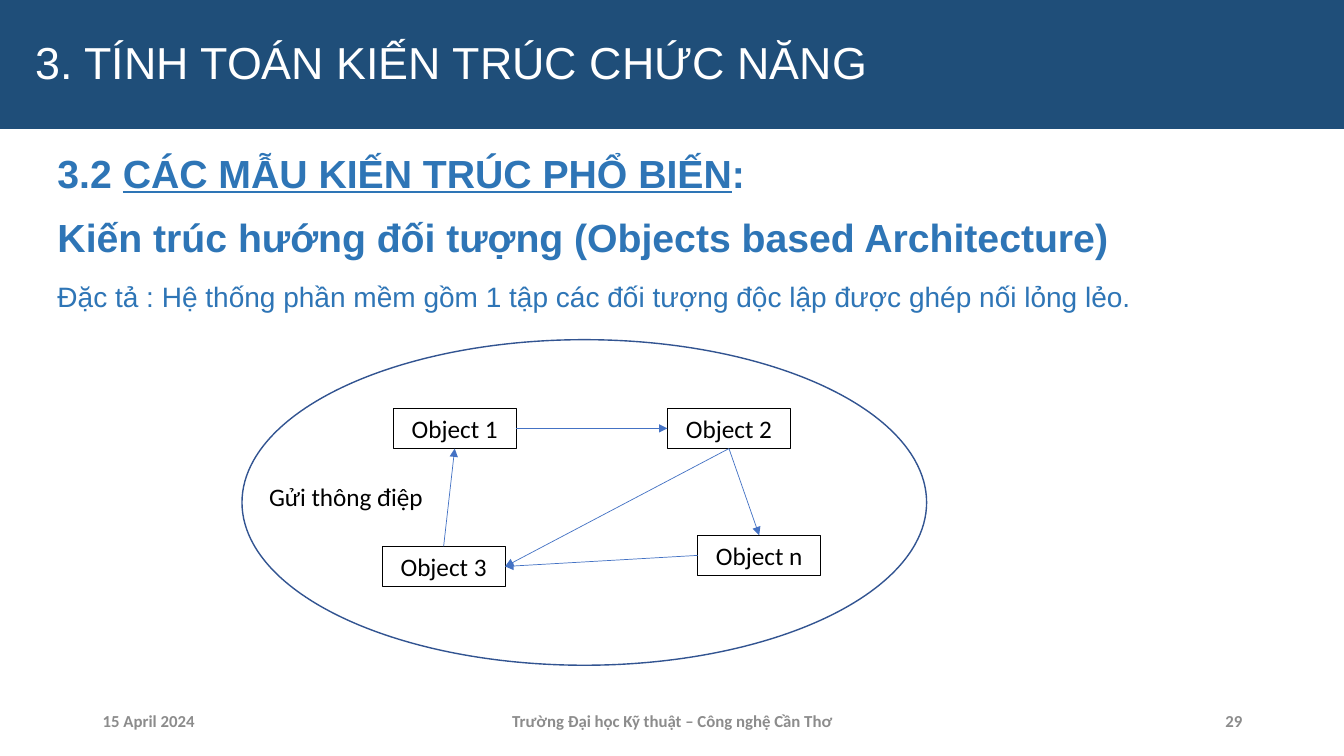
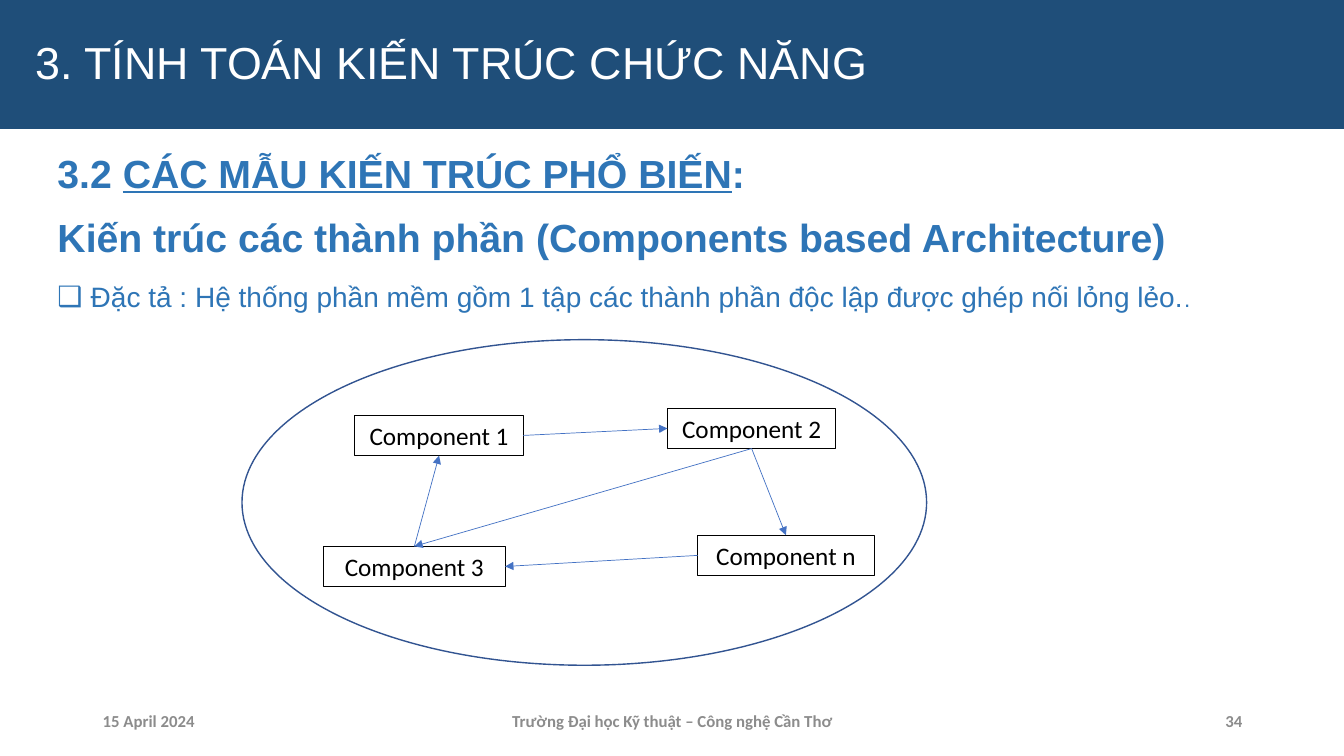
from dataclasses import dataclass

from lxml import etree
from pptx import Presentation
from pptx.dml.color import RGBColor
from pptx.enum import shapes, text
from pptx.oxml import ns
from pptx.util import Inches, Pt

WHITE = RGBColor(0xFF, 0xFF, 0xFF)
BLACK = RGBColor(0, 0, 0)
BAND_BLUE = RGBColor(0x1F, 0x4E, 0x79)
BODY_BLUE = RGBColor(0x2E, 0x75, 0xB6)
OUTLINE_BLUE = RGBColor(0x32, 0x54, 0x91)
ARROW_BLUE = RGBColor(0x44, 0x72, 0xC4)
FOOTER_GREY = RGBColor(0x8C, 0x8C, 0x8C)

HEADING_FONT = "Arial"
DIAGRAM_FONT = "Calibri"
CHAPTER = "3. TÍNH TOÁN KIẾN TRÚC CHỨC NĂNG"
SECTION = (("3.2 ", False), ("CÁC MẪU KIẾN TRÚC PHỔ BIẾN", True), (":", False))
DATE = "15 April 2024"
SCHOOL = "Trường Đại học Kỹ thuật – Công nghệ Cần Thơ"
NODE_HEIGHT = 0.4
TOP, LEFT, BOTTOM, RIGHT = range(4)


@dataclass(frozen=True)
class Node:
    label: str
    left: float
    top: float
    width: float


@dataclass(frozen=True)
class Link:
    source: str
    source_side: int
    target: str
    target_side: int


@dataclass(frozen=True)
class Architecture:
    number: int
    heading: str
    description: str
    noun: str
    nodes: tuple[Node, ...]
    shortcut_side: int
    bullet: str = ""
    small_ending: str = ""
    message: str = ""


ARCHITECTURES = (
    Architecture(
        29,
        "Kiến trúc hướng đối tượng (Objects based Architecture)",
        "Đặc tả : Hệ thống phần mềm gồm 1 tập các đối tượng độc lập được ghép nối lỏng lẻo.",
        "Object",
        (
            Node("1", 3.9, 4.05, 1.22),
            Node("2", 6.62, 4.05, 1.22),
            Node("n", 6.92, 5.31, 1.22),
            Node("3", 3.79, 5.42, 1.22),
        ),
        RIGHT,
        message="Gửi thông điệp",
    ),
    Architecture(
        34,
        "Kiến trúc các thành phần (Components based Architecture)",
        "Đặc tả : Hệ thống phần mềm gồm 1 tập các thành phần độc lập được ghép nối lỏng lẻo.",
        "Component",
        (
            Node("1", 3.52, 4.12, 1.67),
            Node("2", 6.62, 4.05, 1.67),
            Node("n", 6.92, 5.31, 1.75),
            Node("3", 3.21, 5.42, 1.8),
        ),
        TOP,
        bullet="❑",
        small_ending=".",
    ),
)


def place(shape, left: float, top: float, width: float, height: float) -> None:
    shape.left, shape.top = Inches(left), Inches(top)
    shape.width, shape.height = Inches(width), Inches(height)


def set_font(paragraph, name: str, size: float, color: RGBColor, bold: bool = False) -> None:
    font = paragraph.font
    font.name, font.size, font.bold = name, Pt(size), bold
    font.color.rgb = color


def set_indent(paragraph, margin: float, bullet: str = "") -> None:
    properties = paragraph._p.get_or_add_pPr()
    properties.set("marL", str(Inches(margin)))
    properties.set("indent", str(-Inches(margin) if bullet else 0))
    if bullet:
        etree.SubElement(properties, ns.qn("a:buChar")).set("char", bullet)
    else:
        etree.SubElement(properties, ns.qn("a:buNone"))


def add_title(slide) -> None:
    title = slide.shapes.title
    place(title, 0, 0, 13.33, 1.28)
    title.fill.solid()
    title.fill.fore_color.rgb = BAND_BLUE
    frame = title.text_frame
    frame.text = CHAPTER
    frame.auto_size = text.MSO_AUTO_SIZE.NONE
    frame.vertical_anchor = text.MSO_ANCHOR.MIDDLE
    chapter = frame.paragraphs[0]
    set_indent(chapter, 0.25)
    chapter.alignment = text.PP_ALIGN.LEFT
    chapter.line_spacing = 0.9
    set_font(chapter, HEADING_FONT, 32, WHITE)


def add_body(slide, architecture: Architecture) -> None:
    body = slide.placeholders[1]
    place(body, 0.47, 1.48, 12.43, 5.37)
    frame = body.text_frame
    frame.auto_size = text.MSO_AUTO_SIZE.NONE
    section, heading, description = frame.paragraphs[0], frame.add_paragraph(), frame.add_paragraph()
    for words, underlined in SECTION:
        run = section.add_run()
        run.text = words
        run.font.underline = underlined
    heading.text = architecture.heading
    description.text = architecture.description
    if architecture.small_ending:
        ending = description.add_run()
        ending.text = architecture.small_ending
        ending.font.size = Pt(16)

    set_indent(section, 0)
    set_indent(heading, 0)
    set_indent(description, 0.33 if architecture.bullet else 0, architecture.bullet)
    for paragraph, size, bold in ((section, 28, True), (heading, 28, True), (description, 20, False)):
        paragraph.line_spacing = 0.9
        paragraph.space_before, paragraph.space_after = Pt(10), Pt(6)
        set_font(paragraph, HEADING_FONT, size, BODY_BLUE, bold)


def add_footer(slide, number: int) -> None:
    for words, left, width, alignment in (
        (DATE, 0.92, 3, text.PP_ALIGN.LEFT),
        (SCHOOL, 4.42, 4.5, text.PP_ALIGN.CENTER),
        (str(number), 9.42, 3, text.PP_ALIGN.RIGHT),
    ):
        box = slide.shapes.add_textbox(Inches(left), Inches(6.95), Inches(width), Inches(0.4))
        frame = box.text_frame
        frame.text = words
        frame.word_wrap = True
        frame.vertical_anchor = text.MSO_ANCHOR.MIDDLE
        frame.paragraphs[0].alignment = alignment
        set_font(frame.paragraphs[0], DIAGRAM_FONT, 12, FOOTER_GREY, True)


def add_boundary(slide) -> None:
    boundary = slide.shapes.add_shape(
        shapes.MSO_SHAPE.OVAL, Inches(2.4), Inches(3.37), Inches(6.79), Inches(3.23)
    )
    boundary.shadow.inherit = False
    boundary.fill.solid()
    boundary.fill.fore_color.rgb = WHITE
    boundary.line.color.rgb = OUTLINE_BLUE
    boundary.line.width = Pt(1)


def add_node(slide, node: Node, noun: str):
    box = slide.shapes.add_shape(
        shapes.MSO_SHAPE.RECTANGLE,
        Inches(node.left), Inches(node.top), Inches(node.width), Inches(NODE_HEIGHT),
    )
    box.shadow.inherit = False
    box.fill.background()
    box.line.color.rgb = BLACK
    box.line.width = Pt(0.75)
    frame = box.text_frame
    frame.text = f"{noun} {node.label}"
    frame.vertical_anchor = text.MSO_ANCHOR.TOP
    frame.auto_size = text.MSO_AUTO_SIZE.SHAPE_TO_FIT_TEXT
    frame.paragraphs[0].alignment = text.PP_ALIGN.CENTER
    set_font(frame.paragraphs[0], DIAGRAM_FONT, 18, BLACK)
    return box


def add_arrow(slide, link: Link, boxes: dict) -> None:
    arrow = slide.shapes.add_connector(shapes.MSO_CONNECTOR.STRAIGHT, 0, 0, 0, 0)
    arrow.begin_connect(boxes[link.source], link.source_side)
    arrow.end_connect(boxes[link.target], link.target_side)
    arrow.line.color.rgb = ARROW_BLUE
    arrow.line.width = Pt(0.5)
    etree.SubElement(arrow.line._get_or_add_ln(), ns.qn("a:tailEnd")).set("type", "triangle")
    etree.SubElement(arrow._element.spPr, ns.qn("a:effectLst"))


def add_message(slide, message: str) -> None:
    label = slide.shapes.add_textbox(Inches(2.57), Inches(4.73), Inches(1.75), Inches(0.4))
    frame = label.text_frame
    frame.text = message
    frame.word_wrap = False
    frame.auto_size = text.MSO_AUTO_SIZE.SHAPE_TO_FIT_TEXT
    set_font(frame.paragraphs[0], DIAGRAM_FONT, 18, BLACK)


def add_diagram(slide, architecture: Architecture) -> None:
    add_boundary(slide)
    boxes = {node.label: add_node(slide, node, architecture.noun) for node in architecture.nodes}
    for link in (
        Link("1", RIGHT, "2", LEFT),
        Link("2", BOTTOM, "n", TOP),
        Link("2", BOTTOM, "3", architecture.shortcut_side),
        Link("n", LEFT, "3", RIGHT),
        Link("3", TOP, "1", BOTTOM),
    ):
        add_arrow(slide, link, boxes)
    if architecture.message:
        add_message(slide, architecture.message)


def main() -> None:
    deck = Presentation()
    deck.slide_width, deck.slide_height = Inches(13.33), Inches(7.5)
    for architecture in ARCHITECTURES:
        slide = deck.slides.add_slide(deck.slide_layouts[1])
        add_title(slide)
        add_body(slide, architecture)
        add_footer(slide, architecture.number)
        add_diagram(slide, architecture)
    deck.save("out.pptx")


if __name__ == "__main__":
    main()
